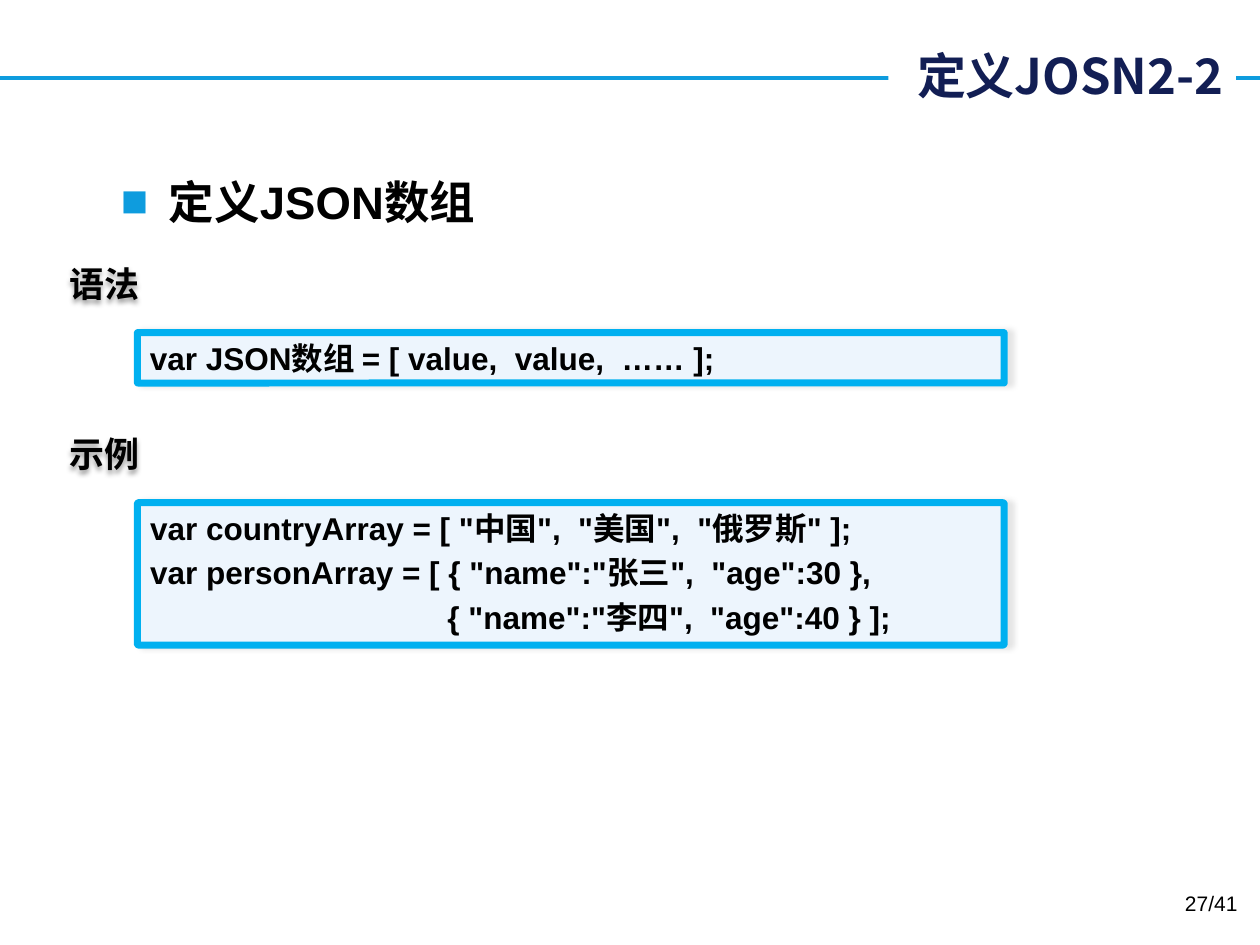
from lxml import etree
from pptx import Presentation
from pptx import util as u
from pptx.dml.color import RGBColor
from pptx.enum import shapes, text
from pptx.oxml import ns

CJK, LATIN = "Noto Sans CJK SC", "Arial"
NAVY, BLUE, BLACK, WHITE = "121E54", "0E9CDE", "000000", "FFFFFF"
BOX_FILL, BOX_LINE = "EDF5FD", "00B0F0"

TITLE = "定义JOSN2-2"
TOPIC = "定义JSON数组"
PAGE = "27/41"
HANG, DEEP = (0.38, -0.38), (2.36, 0)
SECTIONS = [
    ("语法", 2.03, 0.4, [("var JSON数组 = [ value,  value,  …… ];", HANG)]),
    ("示例", 3.38, 1.13, [
        ('var countryArray = [ "中国",  "美国",  "俄罗斯" ];', HANG),
        ('var personArray = [ { "name":"张三",  "age":30 },', HANG),
        ('{ "name":"李四",  "age":40 } ];', DEEP),
    ]),
]


def rgb(value):
    """Turn a hex string into a colour."""
    return RGBColor.from_string(value)


def sub(parent, tag, **attrs):
    """Append a DrawingML element."""
    return etree.SubElement(parent, ns.qn(tag), attrs)


def place(sp, left, top, width, height):
    """Position a shape in inches."""
    sp.left, sp.top, sp.width, sp.height = map(u.Inches, (left, top, width, height))


def write(p, content, size, font=LATIN, color=BLACK, bold=True, indent=None, align=None):
    """Format a paragraph and add its single run."""
    p.alignment = align or text.PP_ALIGN.LEFT
    if indent:
        p.space_before = u.Pt(size * 0.2)
        pPr = p._p.get_or_add_pPr()
        pPr.set("marL", str(u.Inches(indent[0])))
        pPr.set("indent", str(u.Inches(indent[1])))
    r = p.add_run()
    r.text = content
    r.font.size, r.font.name, r.font.bold = u.Pt(size), font, bold
    r.font.color.rgb = rgb(color)
    sub(r._r.get_or_add_rPr(), "a:ea", typeface=CJK)


def add_shadow(sp, alpha, blur, dist, angle):
    """Give a shape a soft outer shadow."""
    sp.shadow.inherit = False
    effects = sp._element.spPr.find(ns.qn("a:effectLst"))
    shadow = sub(effects, "a:outerShdw", blurRad=str(u.Pt(blur)), dist=str(u.Pt(dist)),
                 dir=str(angle * 60000), algn="tl", rotWithShape="0")
    sub(sub(shadow, "a:srgbClr", val=BLACK), "a:alpha", val=str(alpha * 1000))


def add_rule(s):
    """Draw the header rule behind everything else."""
    line = s.shapes.add_connector(shapes.MSO_CONNECTOR.STRAIGHT, 0, u.Inches(0.62),
                                  u.Inches(10), u.Inches(0.62))
    line.line.color.rgb, line.line.width = rgb(BLUE), u.Pt(2.25)
    sub(line._element.spPr, "a:effectLst")
    s.shapes._spTree.insert(2, line._element)


def add_title(s):
    """Fill the title placeholder."""
    sp = s.shapes.title
    place(sp, 7.05, 0.31, 2.76, 0.57)
    sp.fill.solid()
    sp.fill.fore_color.rgb = rgb(WHITE)
    tf = sp.text_frame
    tf.auto_size = text.MSO_AUTO_SIZE.SHAPE_TO_FIT_TEXT
    tf.vertical_anchor = text.MSO_ANCHOR.MIDDLE
    write(tf.paragraphs[0], TITLE, 28, CJK, NAVY, align=text.PP_ALIGN.RIGHT)


def add_topic(s):
    """Fill the body placeholder with the bulleted topic."""
    sp = s.placeholders[1]
    place(sp, 0.86, 1.33, 8.36, 5.62)
    tf = sp.text_frame
    tf.auto_size = text.MSO_AUTO_SIZE.NONE
    p = tf.paragraphs[0]
    write(p, TOPIC, 26, indent=HANG)
    pPr = p._p.get_or_add_pPr()
    sub(sub(pPr, "a:buClr"), "a:srgbClr", val=BLUE)
    sub(pPr, "a:buFont", typeface=LATIN)
    sub(pPr, "a:buChar", char="■")


def add_label(s, content, top):
    """Add a section label."""
    sp = s.shapes.add_textbox(u.Inches(0.45), u.Inches(top), u.Inches(0.77), u.Inches(0.44))
    add_shadow(sp, 40, 3, 2, 90)
    tf = sp.text_frame
    tf.word_wrap = False
    tf.auto_size = text.MSO_AUTO_SIZE.SHAPE_TO_FIT_TEXT
    tf.vertical_anchor = text.MSO_ANCHOR.MIDDLE
    write(tf.paragraphs[0], content, 20, CJK)


def add_code(s, lines, top, height):
    """Add a framed code box."""
    sp = s.shapes.add_shape(shapes.MSO_SHAPE.ROUNDED_RECTANGLE, u.Inches(1.09), u.Inches(top),
                            u.Inches(6.88), u.Inches(height))
    sp.adjustments[0] = 0.01
    sp.fill.solid()
    sp.fill.fore_color.rgb = rgb(BOX_FILL)
    sp.line.color.rgb, sp.line.width = rgb(BOX_LINE), u.Pt(4)
    add_shadow(sp, 10, 3, 3, 0)
    tf = sp.text_frame
    tf.word_wrap = True
    tf.auto_size = text.MSO_AUTO_SIZE.SHAPE_TO_FIT_TEXT
    tf.vertical_anchor = text.MSO_ANCHOR.TOP
    for i, (content, indent) in enumerate(lines):
        p = tf.add_paragraph() if i else tf.paragraphs[0]
        write(p, content, 18, indent=indent)


def add_page(s):
    """Add the page number."""
    sp = s.shapes.add_textbox(u.Inches(7.59), u.Inches(7.02), u.Inches(2.33), u.Inches(0.4))
    tf = sp.text_frame
    tf.word_wrap = True
    write(tf.paragraphs[0], PAGE, 12, bold=False, align=text.PP_ALIGN.RIGHT)


def main():
    """Build the slide."""
    prs = Presentation()
    prs.slide_width, prs.slide_height = u.Inches(10), u.Inches(7.5)
    s = prs.slides.add_slide(prs.slide_layouts[1])
    add_rule(s)
    add_title(s)
    add_topic(s)
    for label, top, height, lines in SECTIONS:
        add_label(s, label, top)
        add_code(s, lines, top + 0.61, height)
    add_page(s)
    prs.save("out.pptx")


if __name__ == "__main__":
    main()
